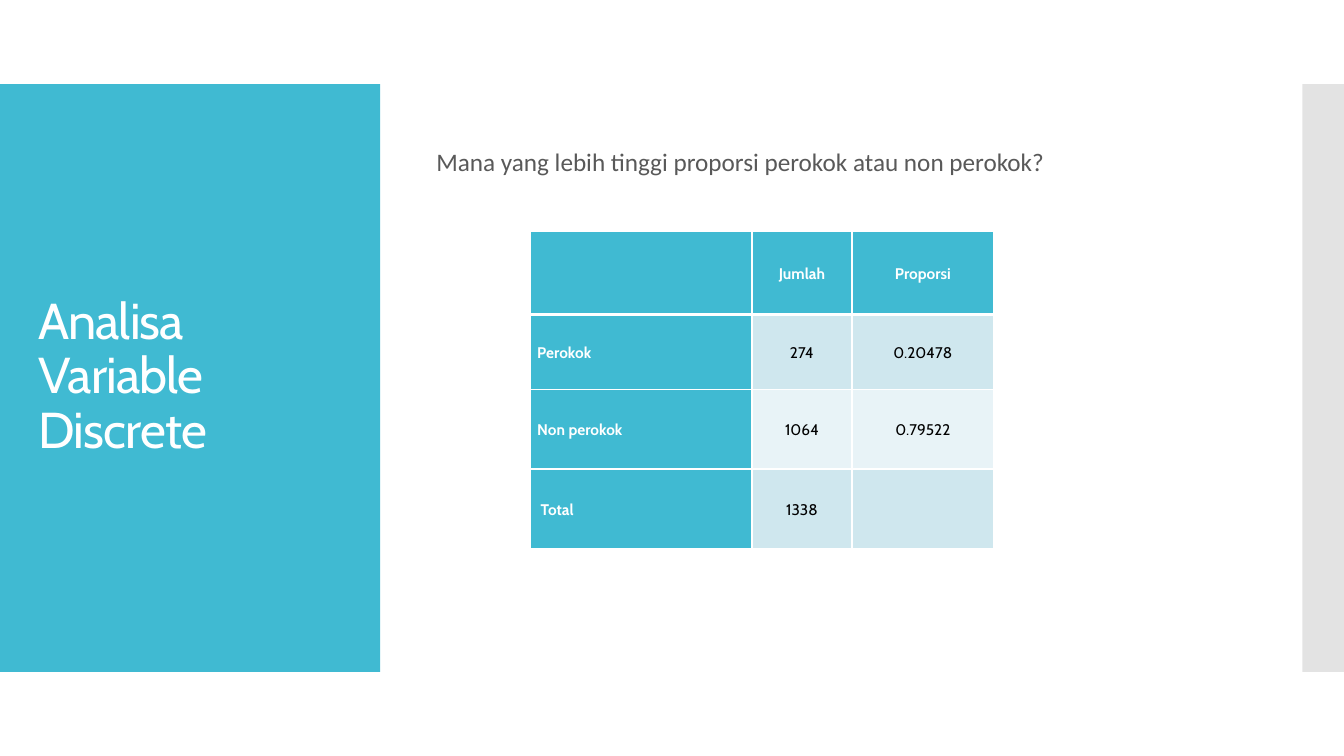
import lxml.etree
import pptx
import pptx.dml.color
import pptx.enum.shapes
import pptx.enum.text
import pptx.oxml.ns
import pptx.util

TEAL, WHITE, BLACK, GREY = "40BAD2", "FFFFFF", "000000", "595959"
BANDS = ("CFE7EE", "E8F3F7")
LEFT = pptx.enum.text.PP_ALIGN.LEFT
CENTER = pptx.enum.text.PP_ALIGN.CENTER
MIDDLE = pptx.enum.text.MSO_ANCHOR.MIDDLE


def color(hex_code):
    return pptx.dml.color.RGBColor.from_string(hex_code)


def child(parent, tag, **attributes):
    return lxml.etree.SubElement(parent, pptx.oxml.ns.qn(tag), **attributes)


class ProportionSlide:
    """Draws styled elements on a slide divided into 32 columns and 18 rows."""

    def __init__(self, presentation):
        self.unit = presentation.slide_height / 18
        self.slide = presentation.slides.add_slide(presentation.slide_layouts[6])

    def grid(self, *cells):
        return [round(count * self.unit) for count in cells]

    def panel(self, area, fill, opacity=100):
        panel = self.slide.shapes.add_shape(
            pptx.enum.shapes.MSO_SHAPE.RECTANGLE, *self.grid(*area))
        panel.shadow.inherit = False
        panel.fill.solid()
        panel.fill.fore_color.rgb = color(fill)
        panel.line.fill.background()
        if opacity < 100:
            tint = panel.fill._xPr.find(".//" + pptx.oxml.ns.qn("a:srgbClr"))
            child(tint, "a:alpha", val=str(opacity * 1000))

    def format(self, paragraph, size, font, ink, bold=False, spacing=0.9, align=LEFT):
        paragraph.line_spacing = spacing
        paragraph.alignment = align
        for run in paragraph.runs:
            run.font.size = pptx.util.Pt(size)
            run.font.name = font
            run.font.bold = bold
            run.font.color.rgb = color(ink)

    def text(self, area, words, size, font, ink, tracking=0):
        frame = self.slide.shapes.add_textbox(*self.grid(*area)).text_frame
        frame.word_wrap = True
        frame.vertical_anchor = MIDDLE
        frame.text = words
        paragraph = frame.paragraphs[0]
        self.format(paragraph, size, font, ink)
        if tracking:
            paragraph.runs[0].font._element.set("spc", str(round(tracking * 100)))

    def borders(self, cell, widths):
        properties = cell._tc.get_or_add_tcPr()
        for position, (side, width) in enumerate(zip("LRTB", widths)):
            border = child(properties, "a:ln" + side, w=str(pptx.util.Pt(width)))
            child(child(border, "a:solidFill"), "a:srgbClr", val=WHITE)
            properties.insert(position, border)

    def cell(self, cell, words, row, column):
        heading = row == 0 or column == 0
        cell.fill.solid()
        cell.fill.fore_color.rgb = color(TEAL if heading else BANDS[(row - 1) % 2])
        cell.vertical_anchor = MIDDLE
        cell.margin_left = cell.margin_right = pptx.util.Inches(0.07)
        cell.margin_top = cell.margin_bottom = 0
        cell.text = words
        self.format(cell.text_frame.paragraphs[0], 11, "Cabin",
                    WHITE if heading else BLACK, heading, 1.07,
                    CENTER if column else LEFT)
        self.borders(cell, (1, 1, 3 if row == 1 else 1, 3 if row == 0 else 1))

    def table(self, corner, widths, heights, content):
        table = self.slide.shapes.add_table(
            len(heights), len(widths),
            *self.grid(*corner, sum(widths), sum(heights))).table
        table.first_row = table.horz_banding = False
        for column, width in zip(table.columns, self.grid(*widths)):
            column.width = width
        for row, height in zip(table.rows, self.grid(*heights)):
            row.height = height
        for row, entries in enumerate(content):
            for column, words in enumerate(entries):
                self.cell(table.cell(row, column), words, row, column)


def main():
    presentation = pptx.Presentation()
    presentation.slide_width = pptx.util.Inches(13.33)
    presentation.slide_height = pptx.util.Inches(7.5)
    page = ProportionSlide(presentation)
    page.panel((0, 2, 9.05, 14), TEAL)
    page.panel((31, 2, 1, 14), "C8C8C8", opacity=50)
    page.text((0.67, 2.95, 7.73, 12.07), "Analisa Variable Discrete",
              36, "Cabin", WHITE, tracking=-0.6)
    page.table((12.62, 5.52), (5.28, 2.38, 3.38), (1.97, 1.78, 1.9, 1.9), (
        ("", "Jumlah", "Proporsi"),
        ("Perokok", "274", "0.20478"),
        ("Non perokok", "1064", "0.79522"),
        (" Total", "1338", ""),
    ))
    page.text((10.15, 3.29, 19.2, 1.2),
              "Mana yang lebih tinggi proporsi perokok atau non perokok?",
              18, "Calibri", GREY)
    presentation.save("out.pptx")


if __name__ == "__main__":
    main()
